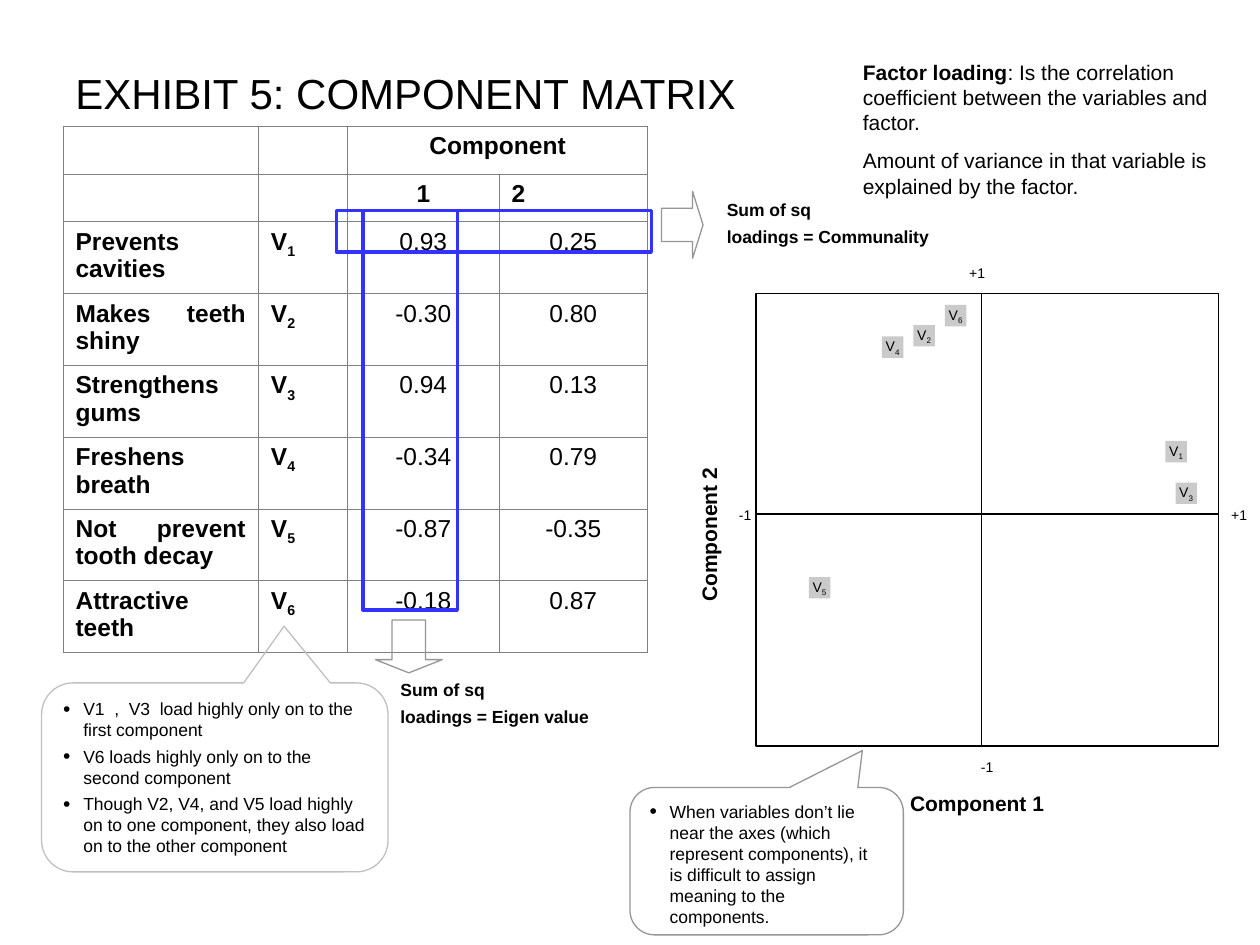
from lxml.etree import SubElement
from pptx import Presentation
from pptx.dml.color import RGBColor
from pptx.enum.shapes import MSO_CONNECTOR, MSO_SHAPE
from pptx.enum.text import MSO_ANCHOR, PP_ALIGN
from pptx.oxml.ns import qn
from pptx.util import Inches, Pt

BLACK = RGBColor(0, 0, 0)
BLUE = RGBColor(0x33, 0x33, 0xFF)
GRAY = RGBColor(0x96, 0x96, 0x96)
LIGHT_GRAY = RGBColor(0xC0, 0xC0, 0xC0)
BORDER_GRAY = RGBColor(0x80, 0x80, 0x80)

LOADINGS = [
    ("Prevents cavities", "0.93", "0.25"),
    ("Makes teeth shiny", "-0.30", "0.80"),
    ("Strengthens gums", "0.94", "0.13"),
    ("Freshens breath", "-0.34", "0.79"),
    ("Not prevent tooth decay", "-0.87", "-0.35"),
    ("Attractive teeth", "-0.18", "0.87"),
]
COLUMN_WIDTHS = [1.55, 0.71, 1.2, 1.18]
HEADER_HEIGHT, ROW_HEIGHT = 0.38, 0.57
VARIABLE_MARKS = {
    1: (9.25, 3.5), 2: (7.25, 2.58), 3: (9.33, 3.83),
    4: (7, 2.67), 5: (6.42, 4.58), 6: (7.5, 2.42),
}
MARK_SIZE = 0.17
AXIS_ENDS = [("-1", 5.83, 4), ("-1", 7.75, 6), ("+1", 7.67, 2.08), ("+1", 9.75, 4)]
PLOT_LEFT, PLOT_TOP, PLOT_RIGHT, PLOT_BOTTOM = 6, 2.33, 9.67, 5.92
ORIGIN_X, ORIGIN_Y = 7.79, 4.08


def variable(number):
    """Return the spans of a variable name with its subscript."""
    return [("V", {}), (str(number), {"subscript": True})]


def add_spans(para, spans, size, bold=False):
    """Add spans, given as text or as (text, format) pairs, to a paragraph."""
    if isinstance(spans, str):
        spans = [(spans, {})]
    for text, extra in spans:
        span = para.add_run()
        span.text = text
        values = {"name": "Arial", "size": Pt(size), "bold": extra.get("bold", bold)}
        for key, value in values.items():
            setattr(span.font, key, value)
        span.font.color.rgb = BLACK
        if extra.get("subscript"):
            span._r.get_or_add_rPr().set("baseline", "-25000")


def add_bullet(para):
    """Give a paragraph a hanging round bullet."""
    properties = para._p.get_or_add_pPr()
    for key, value in {"marL": 0.16, "indent": -0.16}.items():
        properties.set(key, str(Inches(value)))
    color = SubElement(properties, qn("a:buClr"))
    SubElement(color, qn("a:srgbClr"), val=str(BLACK))
    SubElement(properties, qn("a:buSzPct"), val="120000")
    SubElement(properties, qn("a:buFont"), typeface="Arial")
    SubElement(properties, qn("a:buChar"), char="•")


def fill_text(box, paragraphs, size, bold=False, before=0, align=PP_ALIGN.LEFT,
              anchor=MSO_ANCHOR.MIDDLE, wrap=False, bullets=False, margins=True):
    """Write paragraphs into the text frame of a box."""
    frame = box.text_frame
    frame.word_wrap = wrap
    frame.vertical_anchor = anchor
    if not margins:
        for side in ("left", "right", "top", "bottom"):
            setattr(frame, f"margin_{side}", 0)
    for index, spans in enumerate(paragraphs):
        para = frame.add_paragraph() if index else frame.paragraphs[0]
        for key, value in {"alignment": align, "space_before": Pt(before)}.items():
            setattr(para, key, value)
        if bullets:
            add_bullet(para)
        add_spans(para, spans, size, bold)


def add_text(page, bounds, paragraphs, size, **options):
    """Add a text box."""
    box = page.shapes.add_textbox(*map(Inches, bounds))
    fill_text(box, paragraphs, size, **options)
    return box


def add_outline(page, kind, bounds, color, width=0.75, adjustments=()):
    """Add an unfilled preset shape."""
    shape = page.shapes.add_shape(kind, *map(Inches, bounds))
    shape.shadow.inherit = False
    shape.fill.background()
    shape.line.color.rgb = color
    shape.line.width = Pt(width)
    for index, value in enumerate(adjustments):
        shape.adjustments[index] = value
    return shape


def add_callout(page, bounds, color, pointer, paragraphs):
    """Add a rounded callout with a bulleted list."""
    callout = add_outline(page, MSO_SHAPE.ROUNDED_RECTANGULAR_CALLOUT, bounds, color,
                          adjustments=(*pointer, 0.167))
    fill_text(callout, paragraphs, 10, before=3.1, anchor=MSO_ANCHOR.TOP,
              wrap=True, bullets=True)


def add_axis(page, start, end):
    """Add a straight black axis line."""
    axis = page.shapes.add_connector(MSO_CONNECTOR.STRAIGHT, *map(Inches, (*start, *end)))
    axis.line.color.rgb = BLACK
    axis.line.width = Pt(0.75)
    SubElement(axis._element.spPr, qn("a:effectLst"))


def add_mark(page, number):
    """Add the half-transparent mark of a variable to the plot."""
    mark = page.shapes.add_shape(
        MSO_SHAPE.RECTANGLE, *map(Inches, (*VARIABLE_MARKS[number], MARK_SIZE, MARK_SIZE)))
    mark.shadow.inherit = False
    mark.fill.solid()
    mark.fill.fore_color.rgb = GRAY
    color = mark._element.spPr.find(qn("a:solidFill")).find(qn("a:srgbClr"))
    SubElement(color, qn("a:alpha"), val="50000")
    mark.line.fill.background()
    fill_text(mark, [variable(number)], 8, before=2.5, align=PP_ALIGN.CENTER)


def format_cell(cell):
    """Clear the fill of a cell and draw its four borders."""
    properties = cell._tc.get_or_add_tcPr()
    for side in ("lnL", "lnR", "lnT", "lnB"):
        line = SubElement(properties, qn(f"a:{side}"), w=str(Pt(0.45)))
        fill = SubElement(line, qn("a:solidFill"))
        SubElement(fill, qn("a:srgbClr"), val=str(BORDER_GRAY))
    cell.fill.background()


def add_matrix(page):
    """Add the component matrix table."""
    rows = [("", "", "Component", ""), ("", "", "1", "2")]
    rows += [(name, variable(number), first, second)
             for number, (name, first, second) in enumerate(LOADINGS, 1)]
    heights = [HEADER_HEIGHT] * 2 + [ROW_HEIGHT] * len(LOADINGS)
    bounds = (0.5, 1, sum(COLUMN_WIDTHS), sum(heights))
    table = page.shapes.add_table(len(rows), len(COLUMN_WIDTHS), *map(Inches, bounds)).table
    table.first_row = table.horz_banding = False
    for column, width in zip(table.columns, COLUMN_WIDTHS):
        column.width = Inches(width)
    for row, height in zip(table.rows, heights):
        row.height = Inches(height)
    for row_index, values in enumerate(rows):
        for column_index, value in enumerate(values):
            cell = table.cell(row_index, column_index)
            format_cell(cell)
            para = cell.text_frame.paragraphs[0]
            if not value:
                SubElement(para._p, qn("a:endParaRPr"), sz="1400")
                continue
            centered = column_index > 1 and value != "2"
            para.alignment = PP_ALIGN.CENTER if centered else PP_ALIGN.JUSTIFY
            para.space_before = Pt(3.5)
            add_spans(para, value, 14, bold=row_index < 2 or column_index < 2)
    table.cell(0, 2).merge(table.cell(0, 3))


def add_plot(page):
    """Add the loading plot with its axes, labels and marks."""
    bounds = (PLOT_LEFT, PLOT_TOP, PLOT_RIGHT - PLOT_LEFT, PLOT_BOTTOM - PLOT_TOP)
    add_outline(page, MSO_SHAPE.RECTANGLE, bounds, BLACK)
    title = {"bold": True, "before": 3.7, "align": PP_ALIGN.CENTER}
    add_text(page, (6.17, 6.25, 3.17, 0.25), ["Component 1"], 12, **title)
    add_text(page, (4.04, 4.12, 3.17, 0.25), ["Component 2"], 12, **title).rotation = 270
    add_axis(page, (PLOT_LEFT, ORIGIN_Y), (PLOT_RIGHT, ORIGIN_Y))
    add_axis(page, (ORIGIN_X, PLOT_BOTTOM), (ORIGIN_X, PLOT_TOP))
    for label, left, top in AXIS_ENDS:
        add_text(page, (left, top, MARK_SIZE, MARK_SIZE), [label], 8,
                 before=2.5, align=PP_ALIGN.CENTER, margins=False)
    for number in VARIABLE_MARKS:
        add_mark(page, number)


def main():
    """Build the slide and save the deck."""
    deck = Presentation()
    deck.slide_width, deck.slide_height = Inches(10), Inches(7.5)
    page = deck.slides.add_slide(deck.slide_layouts[6])
    add_text(page, (0.5, 0.3, 9, 0.87), ["EXHIBIT 5: COMPONENT MATRIX"], 24, wrap=True)
    add_matrix(page)
    note = {"bold": True, "before": 3.1}
    add_outline(page, MSO_SHAPE.RECTANGLE, (2.88, 1.67, 0.75, 3.17), BLUE, 2)
    add_text(page, (3.08, 5.33, 1.8, 0.5), ["Sum of sq", "loadings = Eigen value"], 10, **note)
    add_outline(page, MSO_SHAPE.DOWN_ARROW, (2.98, 4.92, 0.53, 0.42), GRAY,
                adjustments=(0.5, 0.25))
    add_outline(page, MSO_SHAPE.RECTANGLE, (2.67, 1.67, 2.5, 0.33), BLUE, 2)
    add_text(page, (5.67, 1.52, 2, 0.5), ["Sum of sq", "loadings = Communality"], 10, **note)
    add_outline(page, MSO_SHAPE.RIGHT_ARROW, (5.25, 1.52, 0.33, 0.53), GRAY,
                adjustments=(0.5, 0.25))
    add_callout(page, (0.33, 5.42, 2.75, 1.5), LIGHT_GRAY, (0.2, -0.8), [
        "V1  ,  V3  load highly only on to the first component",
        "V6 loads highly only on to the second component",
        "Though V2, V4, and V5 load highly on to one component, "
        "they also load on to the other component"])
    add_plot(page)
    add_callout(page, (5, 6.25, 2.17, 1.17), GRAY, (0.35, -0.75), [
        "When variables don’t lie near the axes (which represent components), "
        "it is difficult to assign meaning to the components."])
    add_text(page, (6.75, 0.42, 3, 1.21), [
        [("Factor loading", {"bold": True}),
         (": Is the correlation coefficient between the variables and factor.", {})],
        "Amount of variance in that variable is explained by the factor."],
        12, before=7.5, anchor=MSO_ANCHOR.TOP, wrap=True)
    deck.save("out.pptx")


if __name__ == "__main__":
    main()
